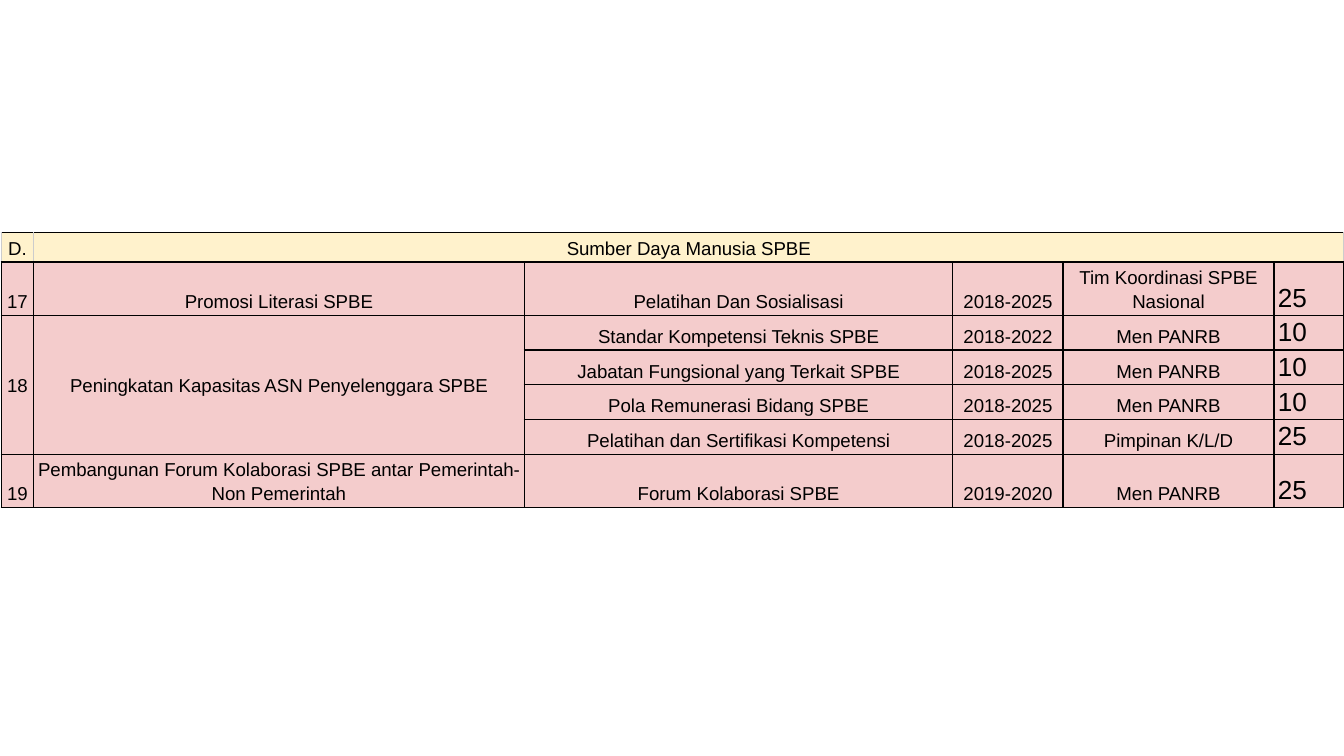
from lxml.etree import SubElement
from pptx import Presentation
from pptx.dml.color import RGBColor
from pptx.enum.text import MSO_ANCHOR as Anchor, PP_ALIGN as Align
from pptx.oxml.ns import qn
from pptx.util import Inches, Pt

COLUMN_WIDTHS = [0.24, 3.65, 3.19, 0.82, 1.57, 0.52]
ROW_HEIGHTS = [0.22, 0.36, 0.22, 0.22, 0.22, 0.22, 0.36]
ROWS = [
    ["D.", "Sumber Daya Manusia SPBE", "", "", "", ""],
    ["17", "Promosi Literasi SPBE", "Pelatihan Dan Sosialisasi", "2018-2025",
     "Tim Koordinasi SPBE Nasional", "25"],
    ["18", "Peningkatan Kapasitas ASN Penyelenggara SPBE",
     "Standar Kompetensi Teknis SPBE", "2018-2022", "Men PANRB", "10"],
    ["", "", "Jabatan Fungsional yang Terkait SPBE", "2018-2025", "Men PANRB", "10"],
    ["", "", "Pola Remunerasi Bidang SPBE", "2018-2025", "Men PANRB", "10"],
    ["", "", "Pelatihan dan Sertifikasi Kompetensi", "2018-2025", "Pimpinan K/L/D", "25"],
    ["19", "Pembangunan Forum Kolaborasi SPBE antar Pemerintah-Non Pemerintah",
     "Forum Kolaborasi SPBE", "2019-2020", "Men PANRB", "25"],
]
# First and last cell of each merged block, as (row, column)
MERGES = [((0, 1), (0, 5)), ((2, 0), (5, 0)), ((2, 1), (5, 1))]


def color(hex_string):
    return RGBColor.from_string(hex_string)


class SlideBuilder:
    font = "Arial"
    text_color = "000000"
    line_color = "000000"
    header_side_color = "CCCCCC"
    header_fill = "FFF2CC"
    body_fill = "F4CCCC"
    border_width = 0.75
    text_size = 10
    score_size = 14

    def __init__(self, slide):
        self.slide = slide

    def add_table(self, left, top):
        frame = self.slide.shapes.add_table(
            len(ROWS), len(COLUMN_WIDTHS), Inches(left), Inches(top),
            Inches(sum(COLUMN_WIDTHS)), Inches(sum(ROW_HEIGHTS)))
        table = frame.table
        table.first_row = table.horz_banding = False
        for column, width in zip(table.columns, COLUMN_WIDTHS):
            column.width = Inches(width)
        for row, height in zip(table.rows, ROW_HEIGHTS):
            row.height = Inches(height)
        for row_index, texts in enumerate(ROWS):
            for column_index, text in enumerate(texts):
                is_score = row_index > 0 and column_index == len(texts) - 1
                self.format_cell(table.cell(row_index, column_index), text,
                                 row_index == 0, is_score)
        for (first_row, first_column), last in MERGES:
            origin = table.cell(first_row, first_column)
            origin.merge(table.cell(*last))
            if last[0] > first_row:
                origin.vertical_anchor = Anchor.MIDDLE

    def format_cell(self, cell, text, is_header, is_score):
        cell.margin_left = cell.margin_right = Inches(0.03)
        cell.margin_top = cell.margin_bottom = Inches(0.02)
        cell.vertical_anchor = Anchor.BOTTOM
        side_color = self.header_side_color if is_header else self.line_color
        self.set_borders(cell, side_color)
        cell.fill.solid()
        cell.fill.fore_color.rgb = color(self.header_fill if is_header else self.body_fill)

        cell.text_frame.text = text
        paragraph = cell.text_frame.paragraphs[0]
        paragraph.alignment = Align.LEFT if is_score else Align.CENTER
        paragraph.line_spacing = 1.0 if is_score else 1.15
        for run in paragraph.runs:
            run.font.name = self.font
            run.font.size = Pt(self.score_size if is_score else self.text_size)
            run.font.color.rgb = color(self.text_color)

    def set_borders(self, cell, side_color):
        properties = cell._tc.get_or_add_tcPr()
        borders = {"lnL": side_color, "lnR": side_color,
                   "lnT": self.line_color, "lnB": self.line_color}
        for side, line_color in borders.items():
            line = SubElement(properties, qn(f"a:{side}"), w=str(Pt(self.border_width)))
            fill = SubElement(line, qn("a:solidFill"))
            SubElement(fill, qn("a:srgbClr"), val=line_color)


def main():
    presentation = Presentation()
    presentation.slide_width = Inches(10)
    presentation.slide_height = presentation.slide_width * 9 // 16
    blank_layout = presentation.slide_layouts[6]
    builder = SlideBuilder(presentation.slides.add_slide(blank_layout))
    builder.add_table(0.01, 1.73)
    presentation.save("out.pptx")


if __name__ == "__main__":
    main()
